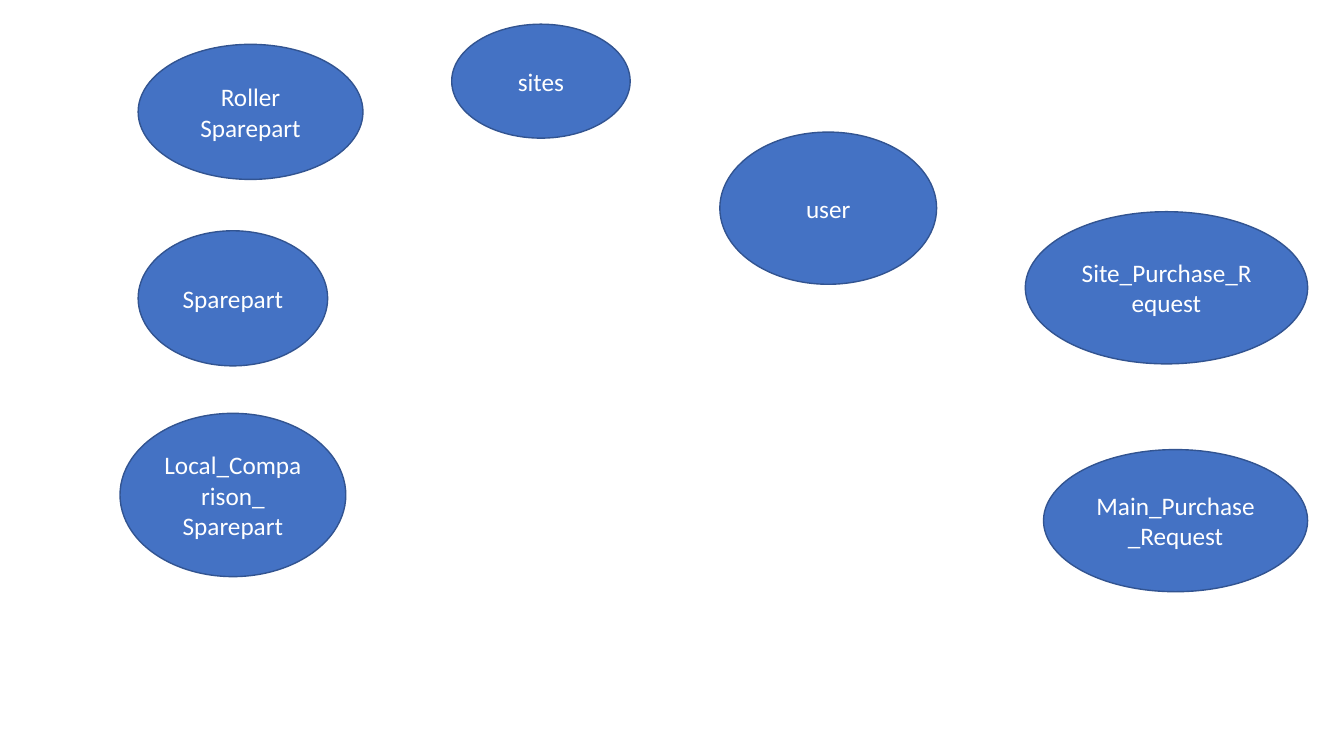
from pptx import Presentation
from pptx.dml.color import RGBColor
from pptx.enum.shapes import MSO_SHAPE
from pptx.enum.text import MSO_ANCHOR, PP_ALIGN
from pptx.util import Inches, Pt

FONT, SIZE = "Calibri", 18
FILL, OUTLINE, TEXT = "4472C4", "325491", "FFFFFF"

# name, then left, top, width, height in percent of the slide's size
ENTITIES = [
    ("Sparepart", 10.28, 30.53, 14.1, 17.87),
    ("Roller Sparepart", 10.28, 5.87, 16.73, 17.87),
    ("sites", 33.61, 3.2, 13.28, 15.07),
    ("user", 53.56, 17.47, 16.13, 20.13),
    ("Local_Comparison_ Sparepart", 8.93, 54.67, 16.8, 21.6),
    ("Site_Purchase_Request", 76.29, 28, 21.01, 20.13),
    ("Main_Purchase_Request", 77.64, 59.47, 19.65, 18.8),
]


def color(hex_code):
    return RGBColor.from_string(hex_code)


def add_entity(prs, slide, name, left, top, width, height):
    across, down = prs.slide_width / 100, prs.slide_height / 100
    sp = slide.shapes.add_shape(
        MSO_SHAPE.OVAL,
        round(left * across), round(top * down),
        round(width * across), round(height * down),
    )
    sp.shadow.inherit = False
    sp.fill.solid()
    sp.fill.fore_color.rgb = color(FILL)
    sp.line.color.rgb = color(OUTLINE)
    sp.line.width = Pt(1)

    tf = sp.text_frame
    tf.word_wrap = True
    tf.vertical_anchor = MSO_ANCHOR.MIDDLE
    p = tf.paragraphs[0]
    p.alignment = PP_ALIGN.CENTER
    r = p.add_run()
    r.text = name
    r.font.name = FONT
    r.font.size = Pt(SIZE)
    r.font.color.rgb = color(TEXT)


def main():
    prs = Presentation()
    prs.slide_width, prs.slide_height = Inches(13.33), Inches(7.5)
    slide = prs.slides.add_slide(prs.slide_layouts[6])
    for entity in ENTITIES:
        add_entity(prs, slide, *entity)
    prs.save("out.pptx")


if __name__ == "__main__":
    main()
